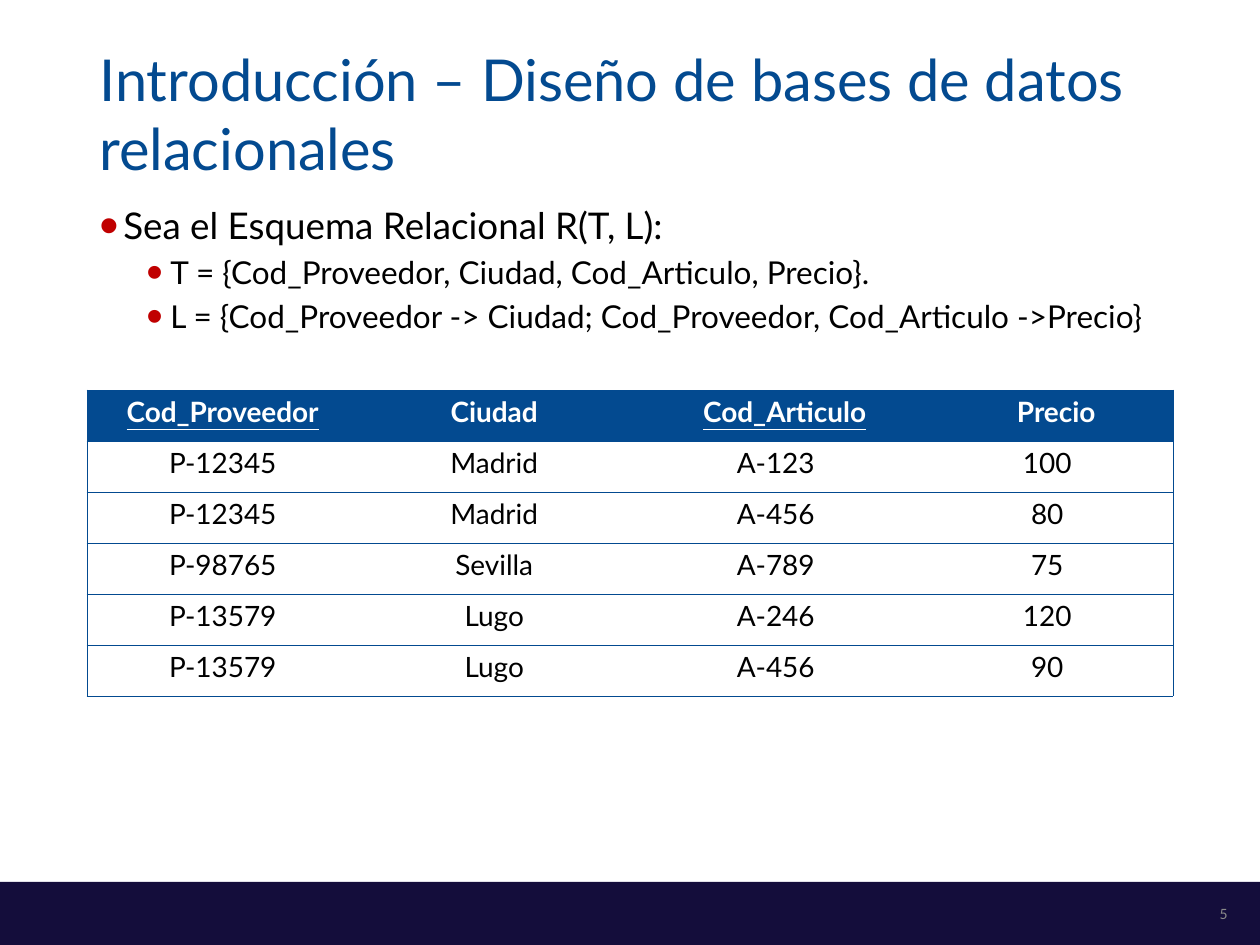
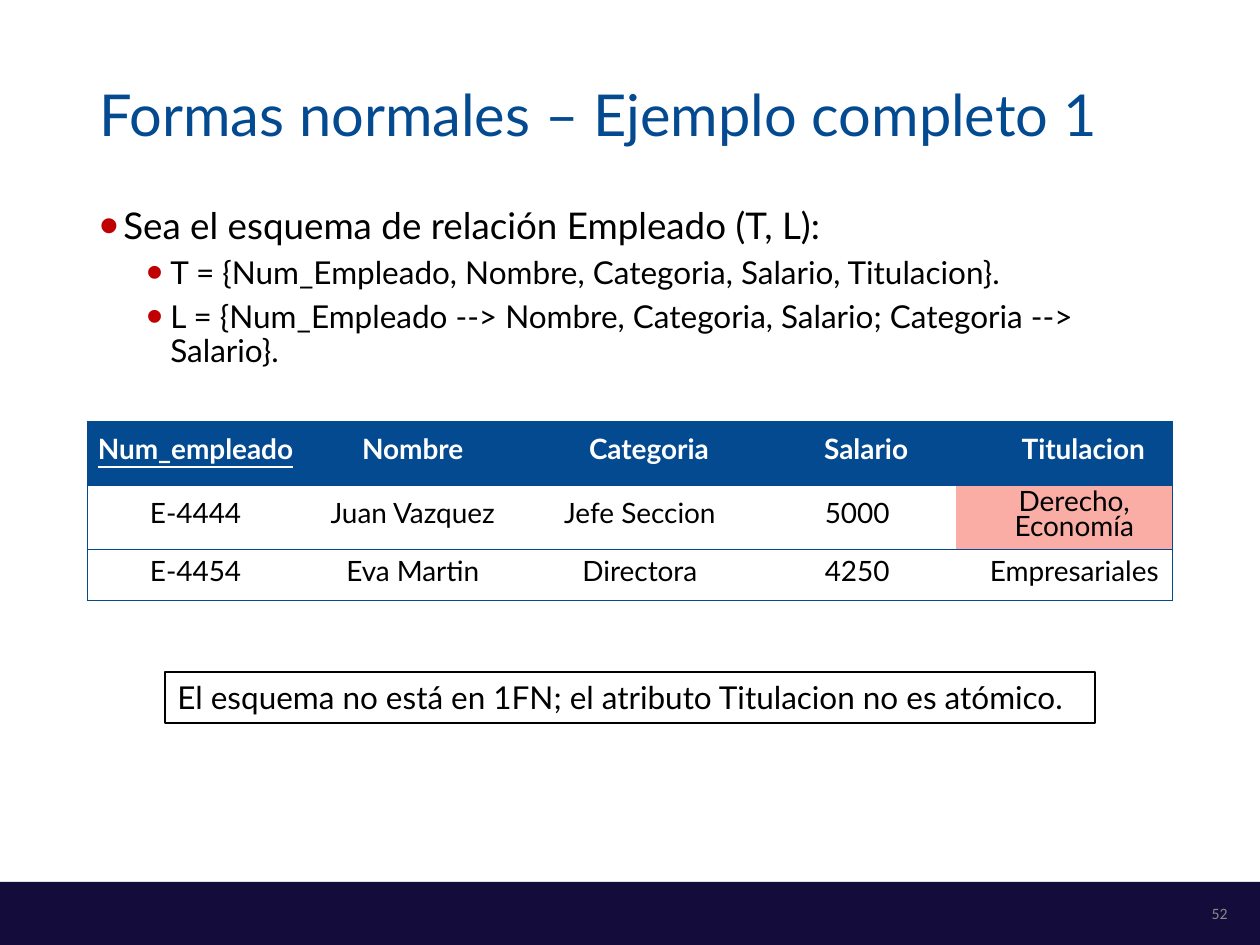
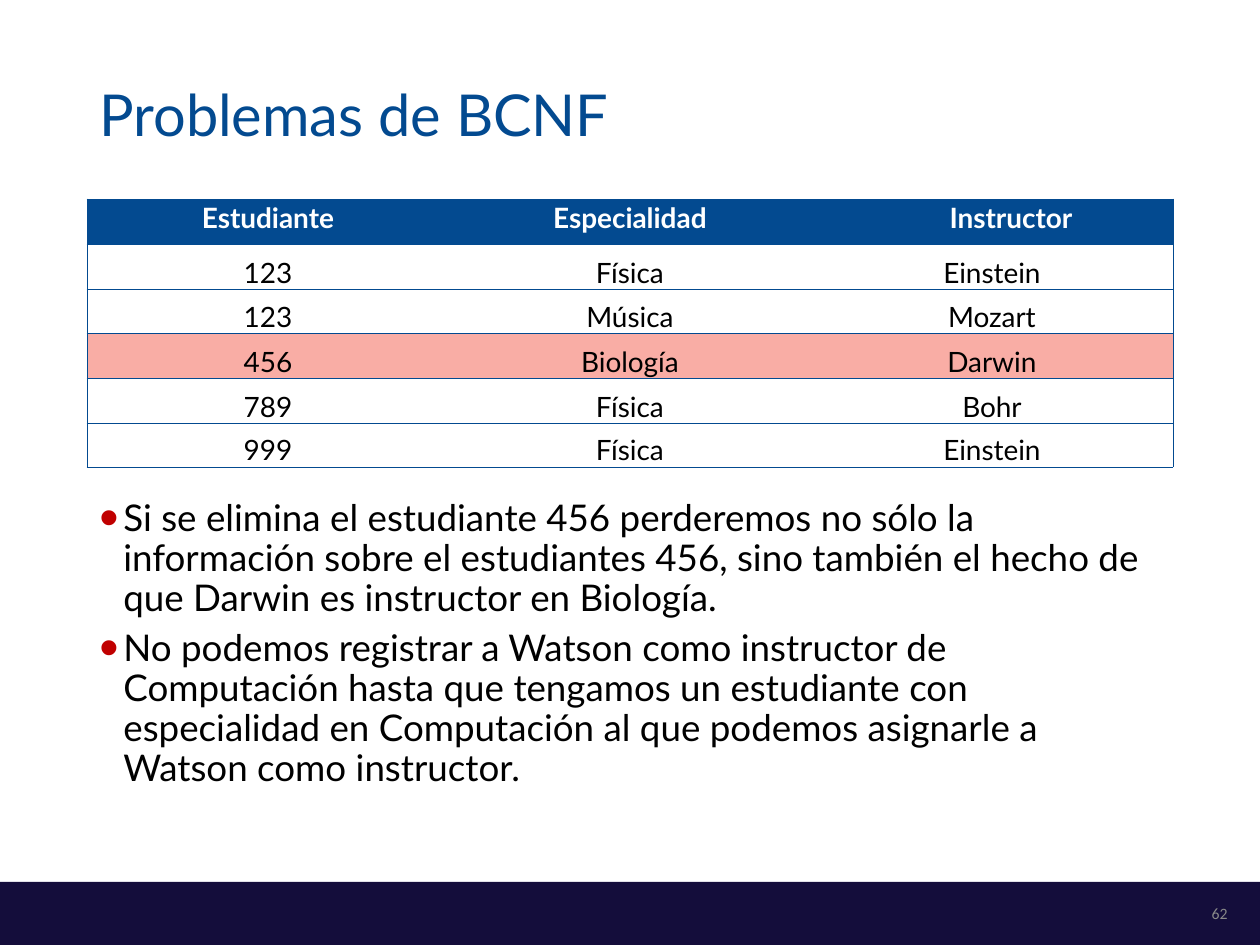
from dataclasses import dataclass

from lxml.etree import SubElement
from pptx import Presentation
from pptx.dml.color import RGBColor as Rgb
from pptx.enum.shapes import MSO_SHAPE as Shape
from pptx.enum.text import MSO_ANCHOR as Anchor, PP_ALIGN as Align
from pptx.oxml.ns import qn
from pptx.util import Pt


@dataclass(frozen=True)
class Theme:
    font: str = "Lato"
    number_font: str = "Calibri"
    blue: str = "034A90"
    navy: str = "140D3B"
    red: str = "C00000"
    pink: str = "F9ADA5"
    gray: str = "898989"
    black: str = "000000"
    white: str = "FFFFFF"
    title_size: int = 33
    body_sizes: tuple = (21, 18)
    note_size: int = 18
    cell_size: int = 16
    number_size: int = 9
    border_width: float = 0.5


def emu(px):
    return round(px * 914400 / 126)


def add_xml(parent, tag, **attributes):
    return SubElement(parent, qn(tag), {key: str(value) for key, value in attributes.items()})


class Deck:
    LEFT, WIDTH = 87, 1086
    LEVEL_INDENTS, HANGING = (24, 71), 24
    HEADER_INDENT, CELL_INDENT = 38, 20

    def __init__(self, theme):
        self.theme = theme
        self.presentation = Presentation()
        self.presentation.slide_width = emu(1260)
        self.presentation.slide_height = emu(945)
        self.slide = None

    def start_slide(self, title, number):
        theme = self.theme
        self.slide = self.presentation.slides.add_slide(self.presentation.slide_layouts[6])
        self.box(0, 882, 1260, 63, theme.navy)
        heading = self.text_frame(self.LEFT, 50, self.WIDTH, 126, Anchor.MIDDLE)
        self.set_text(heading.paragraphs[0], title, theme.title_size, theme.blue)
        footer = self.text_frame(1079, 888, 161, 50, Anchor.MIDDLE)
        page = footer.paragraphs[0]
        page.alignment = Align.RIGHT
        self.set_text(page, str(number), theme.number_size, theme.gray, theme.number_font)

    def set_text(self, paragraph, text, size, color, font=None, bold=False, underline=False):
        paragraph.text = text
        for run in paragraph.runs:
            run.font.name = font or self.theme.font
            run.font.size = Pt(size)
            run.font.color.rgb = Rgb.from_string(color)
            run.font.bold = bold
            run.font.underline = underline

    def text_frame(self, left, top, width, height, anchor=Anchor.TOP):
        area = self.slide.shapes.add_textbox(*map(emu, (left, top, width, height)))
        area.text_frame.word_wrap = True
        area.text_frame.vertical_anchor = anchor
        return area.text_frame

    def box(self, left, top, width, height, fill, line=None):
        box = self.slide.shapes.add_shape(Shape.RECTANGLE, *map(emu, (left, top, width, height)))
        box.shadow.inherit = False
        box.fill.solid()
        box.fill.fore_color.rgb = Rgb.from_string(fill)
        if line:
            box.line.color.rgb = Rgb.from_string(line)
            box.line.width = Pt(1)
        else:
            box.line.fill.background()
        return box

    def note(self, left, top, width, height, text):
        frame = self.box(left, top, width, height, self.theme.white, self.theme.black).text_frame
        frame.word_wrap = True
        frame.vertical_anchor = Anchor.TOP
        frame.paragraphs[0].alignment = Align.LEFT
        self.set_text(frame.paragraphs[0], text, self.theme.note_size, self.theme.black)

    def bullets(self, top, height, items):
        frame = self.text_frame(self.LEFT, top, self.WIDTH, height)
        for index, (level, text) in enumerate(items):
            paragraph = frame.add_paragraph() if index else frame.paragraphs[0]
            self.set_text(paragraph, text, self.theme.body_sizes[level], self.theme.black)
            paragraph.level = level
            paragraph.line_spacing = 0.9
            properties = paragraph._p.get_or_add_pPr()
            properties.set("marL", str(emu(self.LEVEL_INDENTS[level])))
            properties.set("indent", str(-emu(self.HANGING)))
            add_xml(add_xml(properties, "a:spcBef"), "a:spcPct", val=30000)
            add_xml(add_xml(properties, "a:buClr"), "a:srgbClr", val=self.theme.red)
            add_xml(properties, "a:buSzPct", val=150000)
            add_xml(properties, "a:buFont", typeface="Arial")
            add_xml(properties, "a:buChar", char="•")

    def table(self, top, row_heights, rows, keys=(), highlights=(), compact=False):
        columns = len(rows[0])
        frame = self.slide.shapes.add_table(
            len(rows), columns, *map(emu, (self.LEFT, top, self.WIDTH, sum(row_heights))))
        grid = frame.table
        grid.first_row = grid.horz_banding = False
        for column in grid.columns:
            column.width = emu(self.WIDTH / columns)
        for row, height in zip(grid.rows, row_heights):
            row.height = emu(height)
        for r, values in enumerate(rows):
            for c, value in enumerate(values):
                cell = grid.cell(r, c)
                self.borders(cell, c == 0, c == columns - 1)
                self.fill_cell(cell, r == 0, (r, c) in highlights)
                self.cell_text(cell, value, r == 0, c, value in keys, compact)

    def borders(self, cell, first, last):
        properties = cell._tc.get_or_add_tcPr()
        for side, drawn in (("L", first), ("R", last), ("T", True), ("B", True)):
            line = add_xml(properties, f"a:ln{side}", w=Pt(self.theme.border_width))
            if drawn:
                add_xml(add_xml(line, "a:solidFill"), "a:srgbClr", val=self.theme.blue)
            else:
                add_xml(line, "a:noFill")

    def fill_cell(self, cell, header, highlighted):
        if header or highlighted:
            cell.fill.solid()
            color = self.theme.blue if header else self.theme.pink
            cell.fill.fore_color.rgb = Rgb.from_string(color)
        else:
            cell.fill.background()

    def cell_text(self, cell, text, header, column, is_key, compact):
        tight = compact and not header
        cell.margin_left = cell.margin_right = emu(1 if tight else 9)
        cell.margin_top = emu(1 if tight else 0)
        cell.margin_bottom = 0
        cell.vertical_anchor = Anchor.BOTTOM if tight else Anchor.MIDDLE
        paragraph = cell.text_frame.paragraphs[0]
        paragraph.alignment = Align.CENTER
        if not tight:
            paragraph.line_spacing = Pt(14.4)
            if column >= 2:
                indent = self.HEADER_INDENT if header else self.CELL_INDENT
                paragraph._p.get_or_add_pPr().set("marL", str(emu(indent)))
        color = self.theme.white if header else self.theme.black
        self.set_text(paragraph, text, self.theme.cell_size, color,
                      bold=header, underline=header and is_key)


def main():
    deck = Deck(Theme())

    deck.start_slide("Introducción – Diseño de bases de datos relacionales", 5)
    deck.bullets(202, 661, [
        (0, "Sea el Esquema Relacional R(T, L):"),
        (1, "T = {Cod_Proveedor, Ciudad, Cod_Articulo, Precio}."),
        (1, "L = {Cod_Proveedor -> Ciudad; Cod_Proveedor, Cod_Articulo ->Precio}"),
    ])
    deck.table(390, [51] * 6, [
        ("Cod_Proveedor", "Ciudad", "Cod_Articulo", "Precio"),
        ("P-12345", "Madrid", "A-123", "100"),
        ("P-12345", "Madrid", "A-456", "80"),
        ("P-98765", "Sevilla", "A-789", "75"),
        ("P-13579", "Lugo", "A-246", "120"),
        ("P-13579", "Lugo", "A-456", "90"),
    ], keys=("Cod_Proveedor", "Cod_Articulo"))

    deck.start_slide("Formas normales – Ejemplo completo 1", 52)
    deck.bullets(202, 661, [
        (0, "Sea el esquema de relación Empleado (T, L):"),
        (1, "T = {Num_Empleado, Nombre, Categoria, Salario, Titulacion}."),
        (1, "L = {Num_Empleado --> Nombre, Categoria, Salario; Categoria --> Salario}."),
    ])
    deck.table(421, [64, 64, 51], [
        ("Num_empleado", "Nombre", "Categoria", "Salario", "Titulacion"),
        ("E-4444", "Juan Vazquez", "Jefe Seccion", "5000", "Derecho, Economía"),
        ("E-4454", "Eva Martin", "Directora", "4250", "Empresariales"),
    ], keys=("Num_empleado",), highlights={(1, 4)})
    deck.note(165, 672, 930, 51,
              "El esquema no está en 1FN; el atributo Titulacion no es atómico.")

    deck.start_slide("Problemas de BCNF", 62)
    deck.table(199, [45, 45, 44] * 2, [
        ("Estudiante", "Especialidad", "Instructor"),
        ("123", "Física", "Einstein"),
        ("123", "Música", "Mozart"),
        ("456", "Biología", "Darwin"),
        ("789", "Física", "Bohr"),
        ("999", "Física", "Einstein"),
    ], highlights={(3, column) for column in range(3)}, compact=True)
    deck.bullets(494, 355, [
        (0, "Si se elimina el estudiante 456 perderemos no sólo la información sobre el "
            "estudiantes 456, sino también el hecho de que Darwin es instructor en Biología."),
        (0, "No podemos registrar a Watson como instructor de Computación hasta que "
            "tengamos un estudiante con especialidad en Computación al que podemos "
            "asignarle a Watson como instructor."),
    ])

    deck.presentation.save("out.pptx")


if __name__ == "__main__":
    main()
